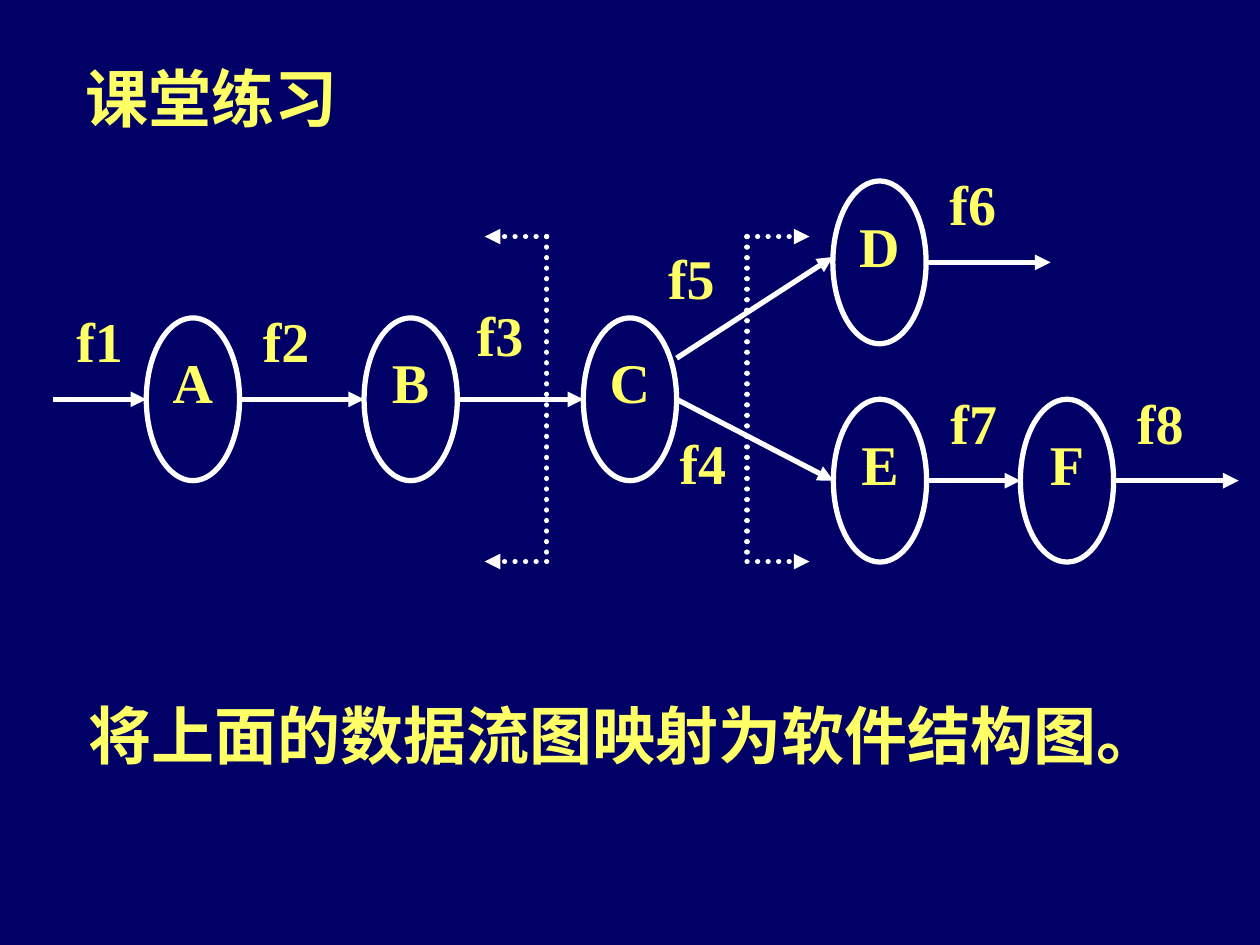
from lxml import etree
from pptx import Presentation
from pptx.dml.color import RGBColor
from pptx.enum import dml, shapes, text
from pptx.oxml import ns
from pptx.util import Cm, Pt

NAVY = RGBColor(0x00, 0x00, 0x66)
YELLOW = RGBColor(0xFF, 0xFF, 0x66)
WHITE = RGBColor(0xFF, 0xFF, 0xFF)

prs = Presentation()
prs.slide_width, prs.slide_height = Cm(25.4), Cm(19.05)
s = prs.slides.add_slide(prs.slide_layouts[1])
s.background.fill.solid()
s.background.fill.fore_color.rgb = NAVY


def write(sp, words, size, font, align):
    tf = sp.text_frame
    tf.word_wrap = True
    tf.vertical_anchor = text.MSO_ANCHOR.TOP
    p = tf.paragraphs[0]
    p.alignment = align
    p.space_before = Pt(0)
    r = p.add_run()
    r.text = words
    r.font.size, r.font.name, r.font.bold = Pt(size), font, True
    r.font.color.rgb = YELLOW


def draw_line(x1, y1, x2, y2, arrow=True, dotted=False):
    c = s.shapes.add_connector(shapes.MSO_CONNECTOR.STRAIGHT,
                               Cm(x1), Cm(y1), Cm(x2), Cm(y2))
    c.line.color.rgb = WHITE
    c.line.width = Pt(3)
    sp_pr = c.element.spPr
    ln = sp_pr.find(ns.qn("a:ln"))
    if dotted:
        c.line.dash_style = dml.MSO_LINE.ROUND_DOT
        ln.set("cap", "rnd")
    if arrow:
        etree.SubElement(ln, ns.qn("a:tailEnd"), type="triangle")
    etree.SubElement(sp_pr, ns.qn("a:effectLst"))


# Title and task
title, body = s.shapes.title, s.placeholders[1]
for sp, words, x, y, w in [
    (title, "课堂练习", 1.47, 1.07, 6.99),
    (body, "将上面的数据流图映射为软件结构图。", 1.52, 13.92, 22.58),
]:
    sp.left, sp.top, sp.width, sp.height = Cm(x), Cm(y), Cm(w), Cm(1.78)
    sp.text_frame.auto_size = text.MSO_AUTO_SIZE.SHAPE_TO_FIT_TEXT
    p_pr = sp.text_frame.paragraphs[0]._p.get_or_add_pPr()
    p_pr.set("marL", "0")
    p_pr.set("indent", "0")
    etree.SubElement(p_pr, ns.qn("a:buNone"))
    write(sp, words, 36, "Arial", text.PP_ALIGN.LEFT)

# Processes, centred on three rows
NODE_W, NODE_H = 1.88, 3.28
TOP, MID, LOW = 5.29, 8.05, 9.69
nodes = {"A": (2.95, MID), "B": (7.34, MID), "C": (11.76, MID),
         "D": (16.79, TOP), "E": (16.8, LOW), "F": (20.57, LOW)}
for name, (x, y) in nodes.items():
    sp = s.shapes.add_shape(shapes.MSO_SHAPE.OVAL, Cm(x), Cm(y - NODE_H / 2),
                            Cm(NODE_W), Cm(NODE_H))
    sp.shadow.inherit = False
    sp.fill.background()
    sp.line.color.rgb = WHITE
    sp.line.width = Pt(3)
    write(sp, name, 32, "Times New Roman", text.PP_ALIGN.CENTER)

# Data flows
right = {name: x + NODE_W for name, (x, y) in nodes.items()}
left = {name: x for name, (x, y) in nodes.items()}
for flow in [
    (1.07, MID, left["A"], MID),
    (right["A"], MID, left["B"], MID),
    (right["B"], MID, left["C"], MID),
    (right["C"], MID, left["E"], LOW),
    (right["C"], 7.22, left["D"], 5.18),
    (right["D"], TOP, 21.18, TOP),
    (right["E"], LOW, left["F"], LOW),
    (right["F"], LOW, 24.97, LOW),
]:
    draw_line(*flow)

# Flow names f1 to f8
labels = [(1.07, 6.05), (4.83, 6.05), (9.14, 5.94), (13.23, 8.51),
          (13, 4.78), (18.67, 3.3), (18.69, 7.7), (22.45, 7.7)]
for i, (x, y) in enumerate(labels, 1):
    sp = s.shapes.add_textbox(Cm(x), Cm(y), Cm(NODE_W), Cm(2.46))
    write(sp, f"f{i}", 32, "Times New Roman", text.PP_ALIGN.CENTER)

# Dotted boundaries of the input and output parts
Y1, Y2 = 4.77, 11.32
for x, tip in [(11.02, 9.77), (15.06, 16.32)]:
    draw_line(x, Y1, x, Y2, arrow=False, dotted=True)
    for y in (Y1, Y2):
        draw_line(x, y, tip, y, dotted=True)

prs.save("out.pptx")
